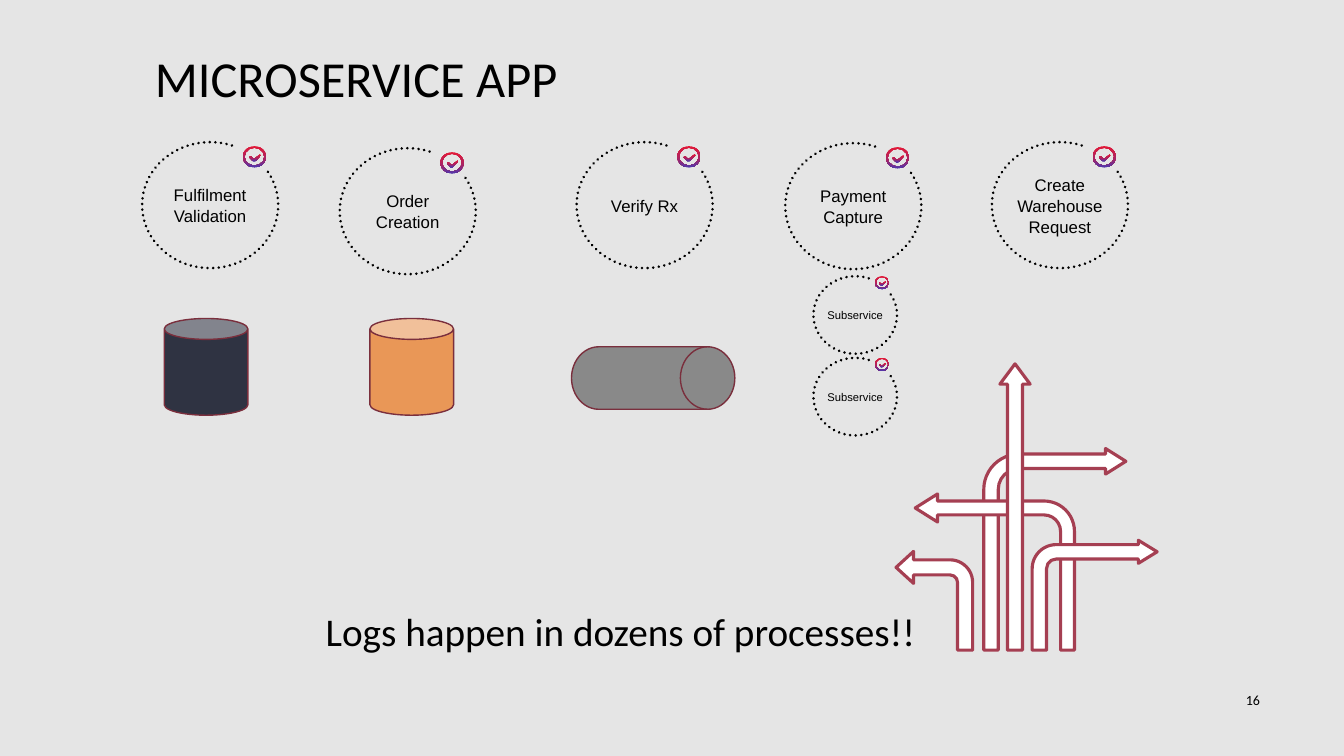
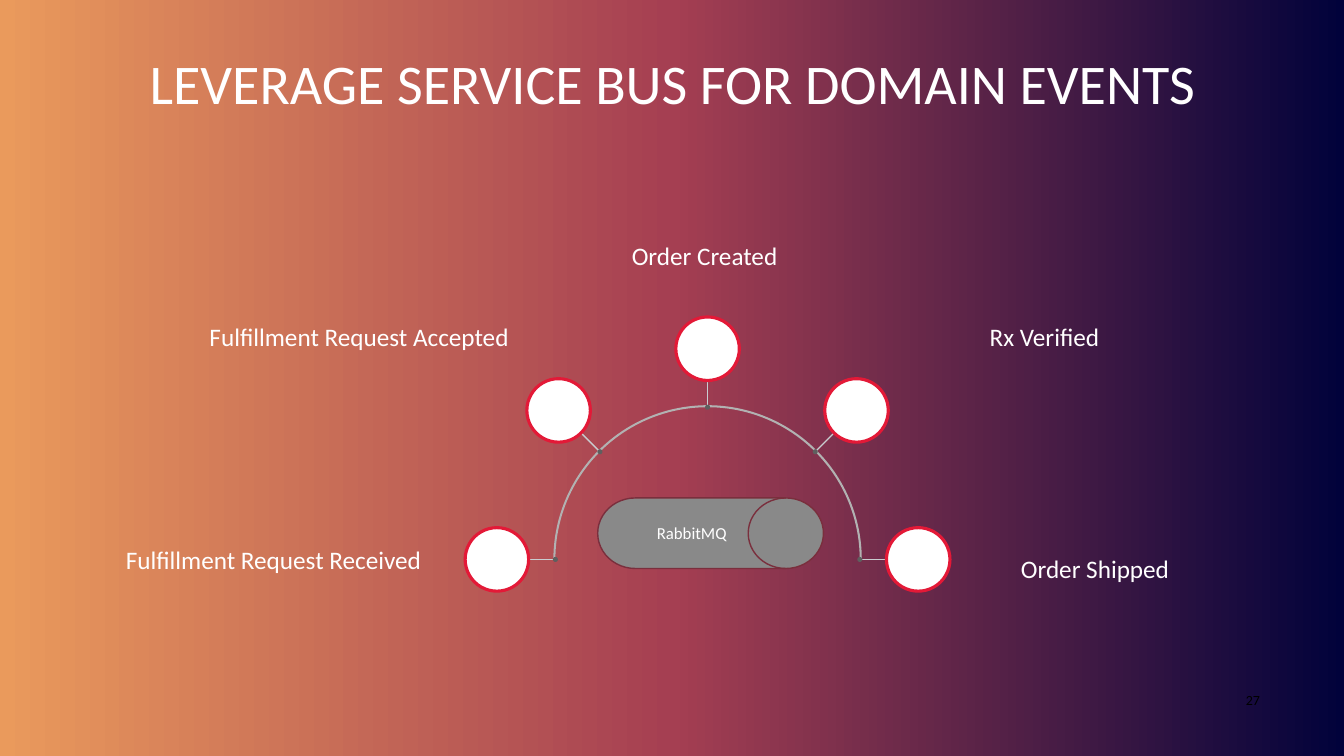
"""Build two slides about logging and messaging in a microservice application."""
import math

from lxml import etree
from pptx import Presentation
from pptx import util as u
from pptx.dml.color import RGBColor
from pptx.enum import dml, shapes, text
from pptx.oxml.ns import qn

PX = 9144
SLIDE_WIDTH, SLIDE_HEIGHT = u.Emu(12192000), u.Emu(6858000)
TITLE_ONLY = 5
FONT, LABEL_FONT = "Calibri", "Arial"
BLACK, WHITE, PALE = "000000", "FFFFFF", "E5E5E5"
CRIMSON, WINE, RED = "A53F52", "7A2F3D", "E31937"
GRAY, NAVY, ORANGE = "898989", "2F3342", "E99757"
ARC_GRAY, SPOKE_GRAY, DOT_GRAY = "B2B2B2", "C9CDD0", "5F5F5F"
BADGE_STOPS = [(0, RED), (60, "A82465"), (100, "5236AB")]
SUNSET_STOPS = [(0, "01023B"), (50, CRIMSON), (100, "EA9A5C")]
CHECK = [(4, 7), (6, 7), (12, 1), (11, 0), (5, 5), (2, 2), (0, 3)]
Shape = shapes.MSO_SHAPE
Align = text.PP_ALIGN

SERVICES = [
    ("Fulfilment Validation", 141, 141),
    ("Order Creation", 337, 147),
    ("Verify Rx", 572, 141),
    ("Payment Capture", 779, 142),
    ("Create Warehouse Request", 984, 141),
]
BENT_ARROWS = [
    ((976, 445, 141, 200), (0.102, 0.09, 0.143, 0.249), False),
    ((908, 490, 158, 155), (0.089, 0.09, 0.143, 0.195), True),
    ((889, 547, 76, 98), (0.197, 0.209, 0.228, 0.295), True),
    ((1024, 536, 124, 109), (0.131, 0.105, 0.171, 0.219), False),
]
EVENTS = [
    (180, "Fulfillment Request Received", (115, 535, 317, 40)),
    (135, "Fulfillment Request Accepted", (198, 314, 321, 40)),
    (90, "Order Created", (617, 233, 166, 40)),
    (45, "Rx Verified", (972, 314, 130, 40)),
    (0, "Order Shipped", (1003, 544, 169, 40)),
]


def emu(box):
    """Turn px lengths into EMU."""
    return [u.Emu(round(length * PX)) for length in box]


def rgb(color):
    """Turn a hex string into a colour."""
    return RGBColor.from_string(color)


def fill_gradient(fill, element, stops, angle):
    """Fill with colour stops in percent along a clockwise angle."""
    fill.gradient()
    fill.gradient_angle = 360 - angle
    stop_list = next(element.iter(qn("a:gsLst")))
    for stop in list(stop_list):
        stop_list.remove(stop)
    for percent, color in stops:
        stop = etree.SubElement(stop_list, qn("a:gs"), pos=str(percent * 1000))
        etree.SubElement(stop, qn("a:srgbClr"), val=color)


def style_shape(shape, fill=None, line=None, width=1):
    """Give a shape a flat fill and outline, or none."""
    shape.shadow.inherit = False
    if fill:
        shape.fill.solid()
        shape.fill.fore_color.rgb = rgb(fill)
    else:
        shape.fill.background()
    if line:
        shape.line.color.rgb = rgb(line)
        shape.line.width = u.Pt(width)
    else:
        shape.line.fill.background()


def add_preset(slide, kind, box, fill=None, line=None, width=1, adjustments=()):
    """Add a preset shape with its adjustments."""
    shape = slide.shapes.add_shape(kind, *emu(box))
    style_shape(shape, fill, line, width)
    for index, value in enumerate(adjustments):
        shape.adjustments[index] = value
    return shape


def write(shape, content, size, color=BLACK, font=FONT, align=Align.CENTER,
          margins=(10, 5), spacing=None, wrap=True, anchor=text.MSO_ANCHOR.MIDDLE):
    """Put one formatted paragraph into a shape."""
    frame = shape.text_frame
    frame.auto_size = text.MSO_AUTO_SIZE.NONE
    frame.word_wrap = wrap
    frame.vertical_anchor = anchor
    side, end = emu(margins)
    frame.margin_left = frame.margin_right = side
    frame.margin_top = frame.margin_bottom = end
    paragraph = frame.paragraphs[0]
    paragraph.text = content
    paragraph.alignment = align
    if spacing:
        paragraph.line_spacing = spacing
    paragraph.font.size = u.Pt(size)
    paragraph.font.name = font
    paragraph.font.color.rgb = rgb(color)


def add_text(slide, content, box, size, **options):
    """Add a text box."""
    write(slide.shapes.add_textbox(*emu(box)), content, size, **options)


def add_slide(presentation, title, box, size, color, number):
    """Add a slide with its title and page number."""
    slide = presentation.slides.add_slide(presentation.slide_layouts[TITLE_ONLY])
    placeholder = slide.shapes.title
    placeholder.left, placeholder.top, placeholder.width, placeholder.height = emu(box)
    write(placeholder, title, size, color)
    add_text(slide, number, (1221, 685, 29, 19), 10, align=Align.RIGHT, margins=(0, 0))
    return slide


def add_badge(slide, left, top, ratio):
    """Add a gradient ring with a check mark."""
    ring = add_preset(slide, Shape.DONUT, (left, top, 23 * ratio, 21 * ratio),
                      adjustments=[0.08])
    builder = slide.shapes.build_freeform(*CHECK[0], scale=PX * ratio)
    builder.add_line_segments(CHECK[1:], close=True)
    check = builder.convert_to_shape(*emu((left + 6 * ratio, top + 8 * ratio)))
    style_shape(check)
    for shape in (ring, check):
        fill_gradient(shape.fill, shape.element, BADGE_STOPS, 90)


def add_service(slide, label, left, top, width=135, height=125, size=12, badge_drop=4):
    """Add a dotted circle with a label and a badge in its gap."""
    box = (left, top, width, height)
    arc = add_preset(slide, Shape.ARC, box, line=BLACK, width=2,
                     adjustments=(198.039, 176.693))
    arc.line.dash_style = dml.MSO_LINE.ROUND_DOT
    arc.element.spPr.find(qn("a:ln")).set("cap", "rnd")
    circle = add_preset(slide, Shape.OVAL, box)
    write(circle, label, size, font=LABEL_FONT, margins=(0, 10), spacing=1.05)
    add_badge(slide, left + round(0.74 * width), top + badge_drop, width / 135)


def add_circle(slide, center, diameter, fill, line=None, width=1):
    """Add a circle around a centre."""
    left, top = (coordinate - diameter / 2 for coordinate in center)
    add_preset(slide, Shape.OVAL, (left, top, diameter, diameter), fill, line, width)


def add_line(slide, start, end, color, width):
    """Add a straight line without a shadow."""
    connector = slide.shapes.add_connector(
        shapes.MSO_CONNECTOR.STRAIGHT, *emu((*start, *end)))
    connector.line.color.rgb = rgb(color)
    connector.line.width = u.Pt(width)
    etree.SubElement(connector.element.spPr, qn("a:effectLst"))


def add_event_arc(slide, center, radius):
    """Add the half ring and one spoke, node and label per event."""
    left, top = (coordinate - radius for coordinate in center)
    add_preset(slide, Shape.BLOCK_ARC, (left, top, 2 * radius, 2 * radius), ARC_GRAY,
               adjustments=(180, 0, 0.0066))
    ring = slide.shapes[-1]
    ring.adjustments[0] = 108

    def point(angle, distance):
        """Find a point at an angle and distance from the centre."""
        turn = math.radians(angle)
        return (center[0] + distance * math.cos(turn),
                center[1] - distance * math.sin(turn))

    for angle, label, box in EVENTS:
        add_line(slide, point(angle, 178), point(angle, 153), SPOKE_GRAY, 1)
        add_circle(slide, point(angle, 151), 5, DOT_GRAY)
        add_circle(slide, point(angle, 209), 63, WHITE, RED, 2.25)
        add_text(slide, label, box, 18, color=WHITE, align=Align.LEFT, wrap=False)


def build_microservices(presentation):
    """Build the slide of services, stores and spreading arrows."""
    slide = add_slide(presentation, "MICROSERVICE APP", (111, 31, 485, 91), 36, BLACK, "16")
    slide.background.fill.solid()
    slide.background.fill.fore_color.rgb = rgb(PALE)
    for label, left, top in SERVICES:
        add_service(slide, label, left, top)
    for left, color in ((163, NAVY), (367, ORANGE)):
        add_preset(slide, Shape.CAN, (left, 316, 83, 96), color, WINE)
    add_preset(slide, Shape.FLOWCHART_DIRECT_ACCESS_STORAGE, (567, 344, 162, 62), GRAY, WINE)
    for top in (274, 355):
        add_service(slide, "Subservice", 807, top, 83, 77, size=8, badge_drop=0)
    for box, adjustments, flipped in BENT_ARROWS:
        arrow = add_preset(slide, Shape.BENT_ARROW, box, WHITE, CRIMSON, 2.25, adjustments)
        if flipped:
            arrow.element.spPr.find(qn("a:xfrm")).set("flipH", "1")
    add_preset(slide, Shape.UP_ARROW, (992, 361, 30, 284), WHITE, CRIMSON, 2.25, (0.5, 0.671))
    add_text(slide, "Logs happen in dozens of processes!!", (282, 598, 667, 57), 28,
             anchor=text.MSO_ANCHOR.TOP)


def build_service_bus(presentation):
    """Build the slide of domain events around the bus."""
    slide = add_slide(presentation, "LEVERAGE SERVICE BUS FOR DOMAIN EVENTS",
                      (83, 52, 1168, 58), 40, WHITE, "27")
    fill_gradient(slide.background.fill, slide.element, SUNSET_STOPS, 180)
    drum = add_preset(slide, Shape.FLOWCHART_DIRECT_ACCESS_STORAGE, (593, 494, 224, 70),
                      GRAY, WINE)
    write(drum, "RabbitMQ", 12, WHITE)
    add_event_arc(slide, (702, 555), 153)


def main():
    """Build and save the presentation."""
    presentation = Presentation()
    presentation.slide_width, presentation.slide_height = SLIDE_WIDTH, SLIDE_HEIGHT
    build_microservices(presentation)
    build_service_bus(presentation)
    presentation.save("out.pptx")


if __name__ == "__main__":
    main()
